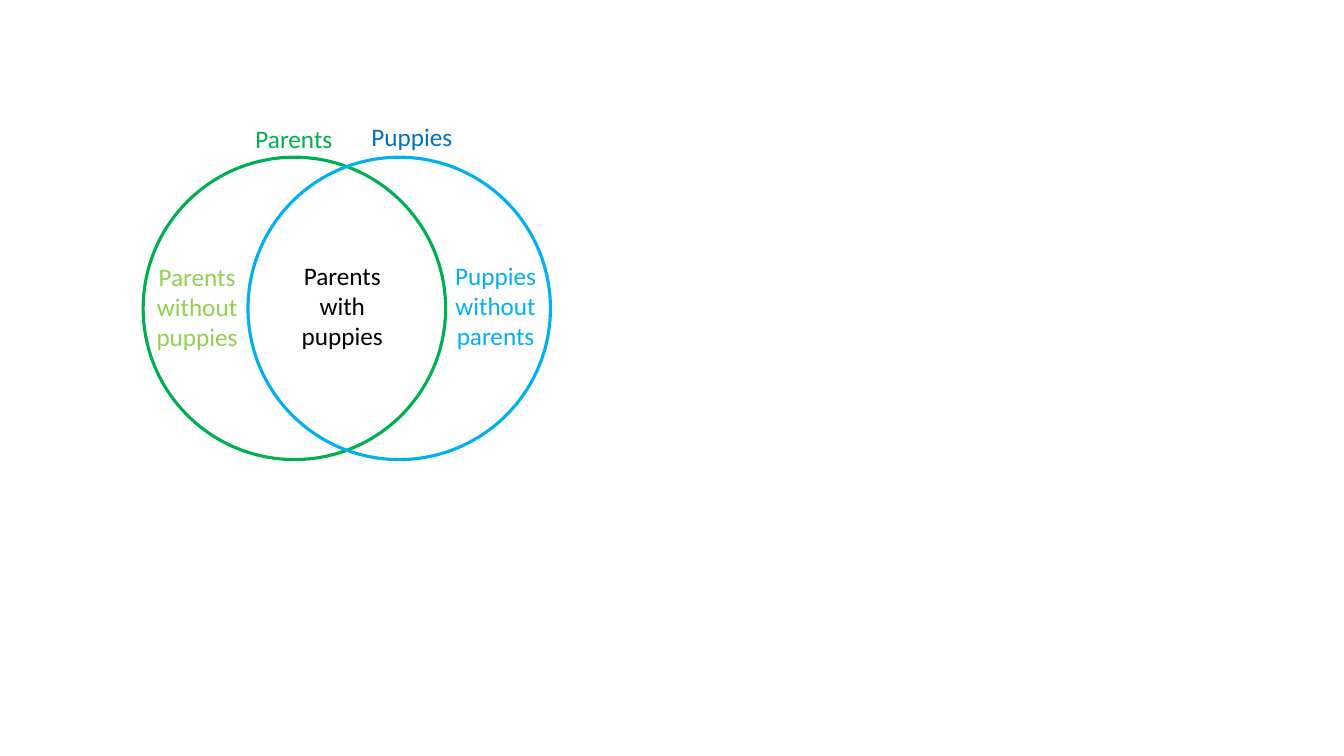
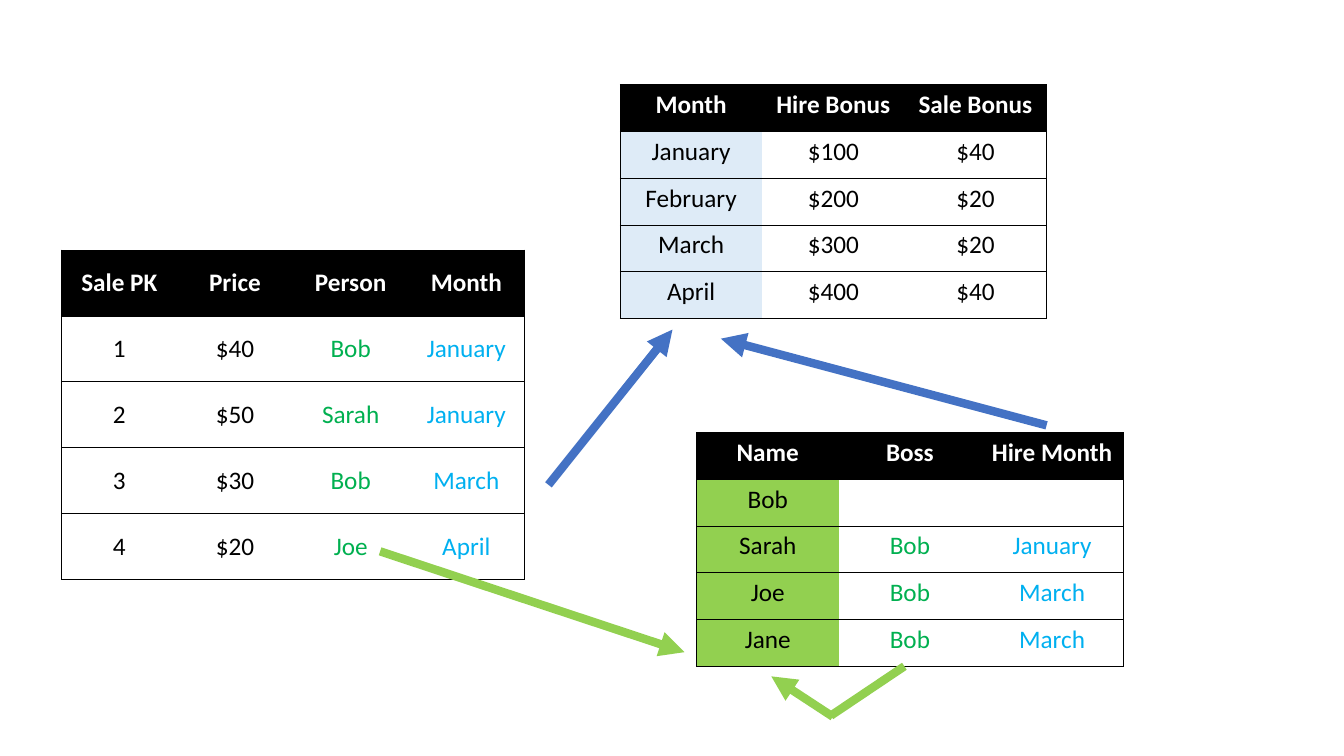
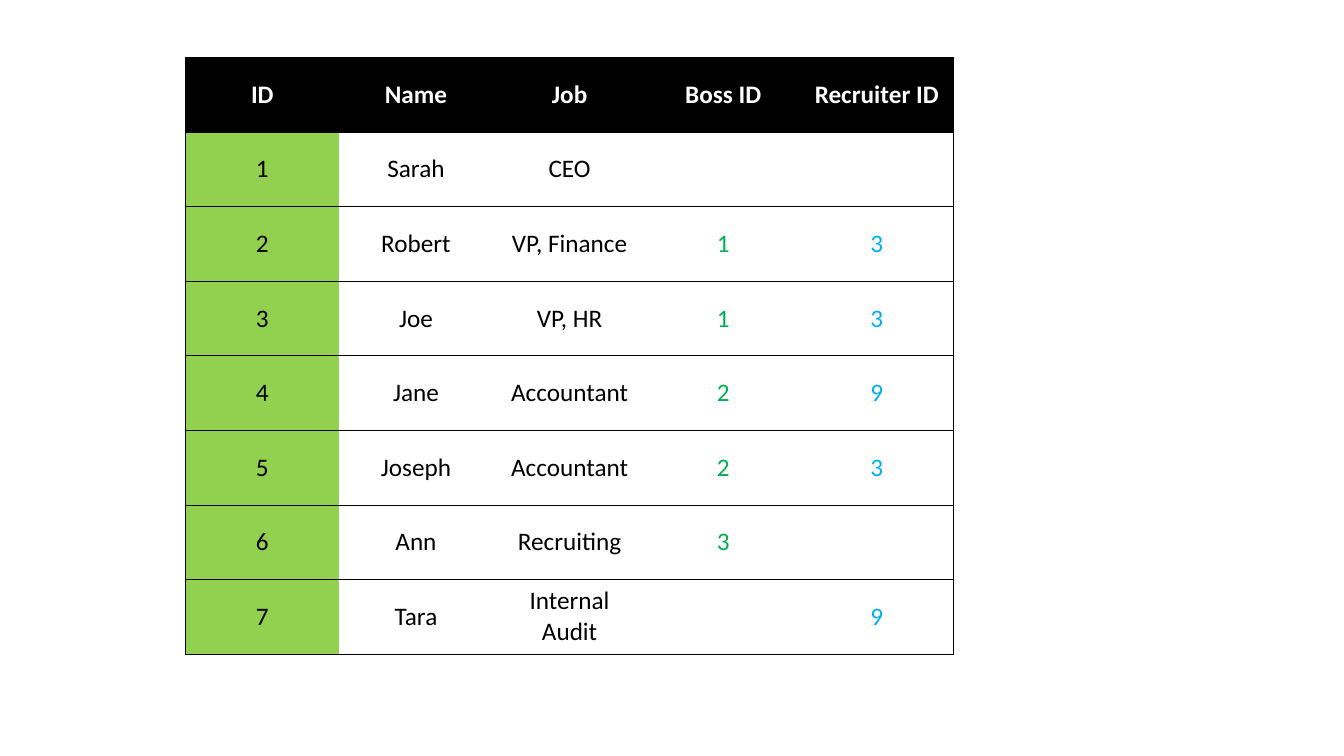
import pptx
import pptx.dml.color
import pptx.enum.shapes
import pptx.enum.text
import pptx.oxml
import pptx.oxml.ns
import pptx.util
from lxml import etree

Inches = pptx.util.Inches
RGBColor = pptx.dml.color.RGBColor
Anchor = pptx.enum.text.MSO_ANCHOR

BLACK = RGBColor(0x00, 0x00, 0x00)
WHITE = RGBColor(0xFF, 0xFF, 0xFF)
GREEN = RGBColor(0x00, 0xB0, 0x50)
LIME = RGBColor(0x92, 0xD0, 0x50)
SKY = RGBColor(0x00, 0xB0, 0xF0)
BLUE = RGBColor(0x00, 0x70, 0xC0)
ARROW_BLUE = RGBColor(0x44, 0x72, 0xC4)
PALE_BLUE = RGBColor(0xDE, 0xEB, 0xF7)


class Deck:
    font = "Calibri"
    size = pptx.util.Pt(18)
    border = pptx.util.Pt(0.5)
    outline = pptx.util.Pt(2.25)
    arrow_width = pptx.util.Pt(6)

    def __init__(self):
        self.presentation = pptx.Presentation()
        self.presentation.slide_width = Inches(13.33)
        self.presentation.slide_height = Inches(7.5)
        self.slide = None

    def add_slide(self):
        blank = self.presentation.slide_layouts[6]
        self.slide = self.presentation.slides.add_slide(blank)

    def add_text(self, text_frame, text, color, bold=False):
        paragraph = text_frame.paragraphs[0]
        paragraph.alignment = pptx.enum.text.PP_ALIGN.CENTER
        if text:
            run = paragraph.add_run()
            run.text = text
            run.font.name = self.font
            run.font.size = self.size
            run.font.bold = bold
            run.font.color.rgb = color

    def circle(self, left, top, diameter, color):
        shape = self.slide.shapes.add_shape(
            pptx.enum.shapes.MSO_SHAPE.OVAL,
            Inches(left), Inches(top), Inches(diameter), Inches(diameter))
        shape.shadow.inherit = False
        shape.fill.background()
        shape.line.color.rgb = color
        shape.line.width = self.outline

    def label(self, left, top, width, height, text, color):
        box = self.slide.shapes.add_textbox(
            Inches(left), Inches(top), Inches(width), Inches(height))
        box.text_frame.word_wrap = True
        box.text_frame.vertical_anchor = Anchor.MIDDLE
        self.add_text(box.text_frame, text, color)

    def line(self, start, end, color, arrow=True):
        connector = self.slide.shapes.add_connector(
            pptx.enum.shapes.MSO_CONNECTOR.STRAIGHT,
            Inches(start[0]), Inches(start[1]), Inches(end[0]), Inches(end[1]))
        connector.line.color.rgb = color
        connector.line.width = self.arrow_width
        if arrow:
            etree.SubElement(connector.get_or_add_ln(),
                             pptx.oxml.ns.qn("a:tailEnd"), type="triangle")
        etree.SubElement(connector._element.spPr, pptx.oxml.ns.qn("a:effectLst"))

    def cell_borders(self, cell, visible):
        properties = cell._tc.get_or_add_tcPr()
        for side in "LRTB":
            line = etree.SubElement(properties, pptx.oxml.ns.qn("a:ln" + side),
                                    w=str(int(self.border)))
            if side in visible:
                fill = etree.SubElement(line, pptx.oxml.ns.qn("a:solidFill"))
                etree.SubElement(fill, pptx.oxml.ns.qn("a:srgbClr"), val=str(BLACK))
            else:
                etree.SubElement(line, pptx.oxml.ns.qn("a:noFill"))

    def table(self, left, top, width, height, rows, colors, key_fill=WHITE,
              anchor=Anchor.MIDDLE):
        last = len(colors) - 1
        table = self.slide.shapes.add_table(
            len(rows), len(colors),
            Inches(left), Inches(top), Inches(width), Inches(height)).table
        table.horz_banding = False
        for row_index, row in enumerate(rows):
            header = row_index == 0
            for column, text in enumerate(row):
                cell = table.cell(row_index, column)
                sides = "TB" + "L" * (column == 0) + "R" * (column == last)
                self.cell_borders(cell, sides)
                body_fill = key_fill if column == 0 else WHITE
                cell.fill.solid()
                cell.fill.fore_color.rgb = BLACK if header else body_fill
                cell.vertical_anchor = anchor
                self.add_text(cell.text_frame, text,
                              WHITE if header else colors[column], bold=header)


def venn_slide(deck):
    deck.add_slide()
    deck.circle(1.42, 1.56, 3, GREEN)
    deck.circle(2.46, 1.56, 3, SKY)
    for left, top, text, color in (
            (2.38, 0.94, "Puppies", BLUE),
            (1.21, 0.96, "Parents", GREEN)):
        deck.label(left, top, 3.41, 0.83, text, color)
    for left, top, text, color in (
            (4.22, 1.77, "Puppies without parents", SKY),
            (1.26, 1.78, "Parents without puppies", LIME),
            (2.7, 1.77, "Parents with puppies", BLACK)):
        deck.label(left, top, 1.39, 2.52, text, color)


def sales_slide(deck):
    deck.add_slide()
    deck.table(0.61, 2.48, 4.59, 3.27, [
        ("Sale PK", "Price", "Person", "Month"),
        ("1", "$40", "Bob", "January"),
        ("2", "$50", "Sarah", "January"),
        ("3", "$30", "Bob", "March"),
        ("4", "$20", "Joe", "April"),
    ], (BLACK, BLACK, GREEN, SKY))
    deck.table(6.15, 0.84, 4.23, 2.32, [
        ("Month", "Hire Bonus", "Sale Bonus"),
        ("January", "$100", "$40"),
        ("February", "$200", "$20"),
        ("March", "$300", "$20"),
        ("April", "$400", "$40"),
    ], (BLACK, BLACK, BLACK), PALE_BLUE, Anchor.TOP)
    deck.table(6.91, 4.29, 4.23, 2.32, [
        ("Name", "Boss", "Hire Month"),
        ("Bob", "", ""),
        ("Sarah", "Bob", "January"),
        ("Joe", "Bob", "March"),
        ("Jane", "Bob", "March"),
    ], (BLACK, GREEN, SKY), LIME, Anchor.TOP)
    deck.line((10.38, 4.22), (7.15, 3.36), ARROW_BLUE)
    deck.line((5.44, 4.81), (6.67, 3.27), ARROW_BLUE)
    deck.line((3.77, 5.47), (6.79, 6.47), LIME)
    deck.line((8.26, 7.11), (7.65, 6.71), LIME)
    deck.line((8.24, 7.1), (8.97, 6.61), LIME, arrow=False)


def staff_slide(deck):
    deck.add_slide()
    deck.table(1.84, 0.57, 7.62, 5.92, [
        ("ID", "Name", "Job", "Boss ID", "Recruiter ID"),
        ("1", "Sarah", "CEO", "", ""),
        ("2", "Robert", "VP, Finance", "1", "3"),
        ("3", "Joe", "VP, HR", "1", "3"),
        ("4", "Jane", "Accountant", "2", "9"),
        ("5", "Joseph", "Accountant", "2", "3"),
        ("6", "Ann", "Recruiting", "3", ""),
        ("7", "Tara", "Internal Audit", "", "9"),
    ], (BLACK, BLACK, BLACK, GREEN, SKY), LIME)


def main():
    deck = Deck()
    venn_slide(deck)
    sales_slide(deck)
    staff_slide(deck)
    deck.presentation.save("out.pptx")


if __name__ == "__main__":
    main()
